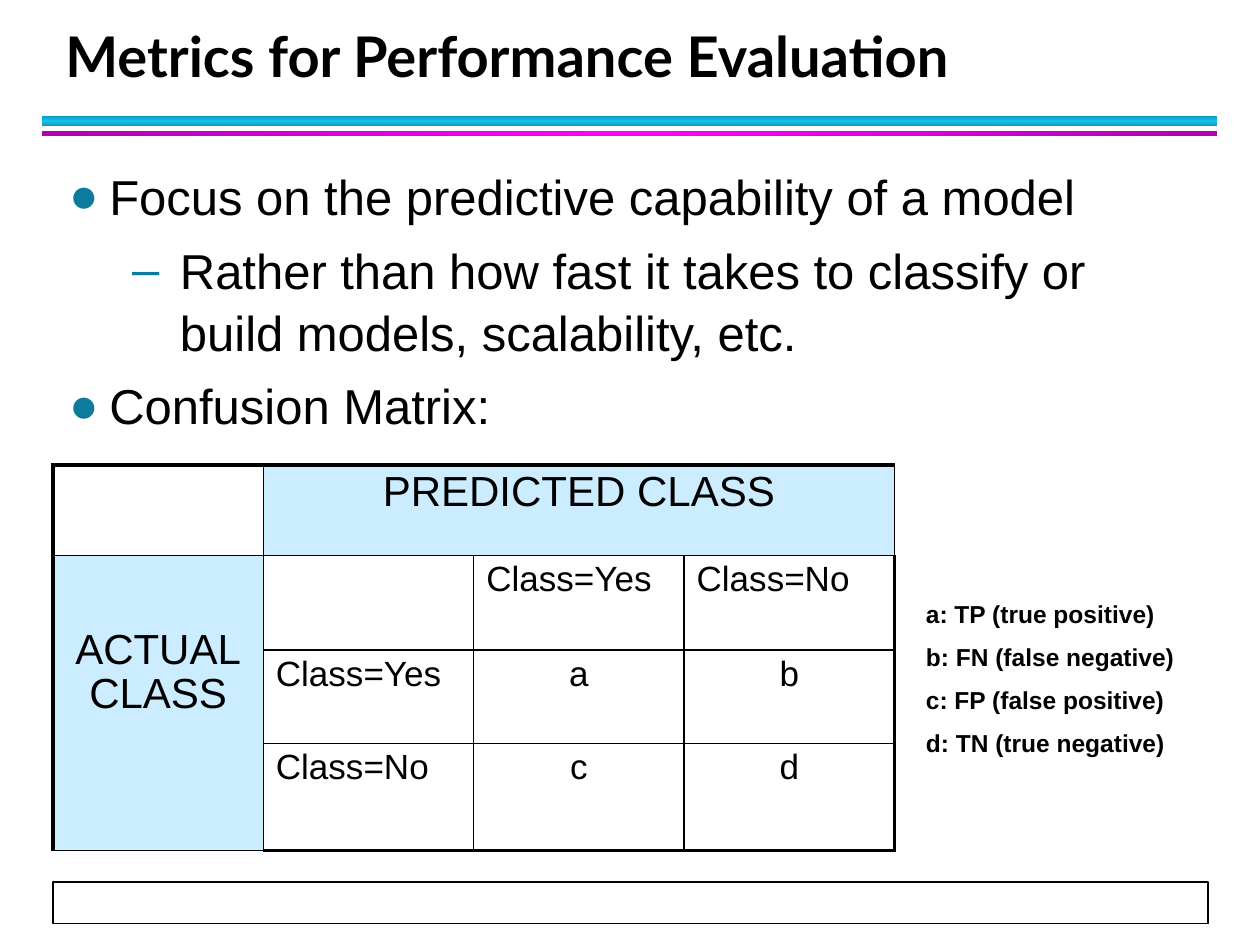
from copy import deepcopy

from lxml import etree
from pptx import Presentation
from pptx.dml.color import RGBColor
from pptx.enum.shapes import MSO_SHAPE
from pptx.enum.text import MSO_ANCHOR, PP_ALIGN
from pptx.oxml.ns import qn
from pptx.util import Inches, Pt

RECT = MSO_SHAPE.RECTANGLE
BOTTOM = MSO_ANCHOR.BOTTOM
LEFT, CENTER = PP_ALIGN.LEFT, PP_ALIGN.CENTER

COLORS = {
    "text": "000000", "paper": "FFFFFF", "header": "CCECFF", "bullet": "0C7B9C",
    "cyan_edge": "0E9BBA", "cyan": "12C2E9",
    "magenta_edge": "B200B2", "magenta": "FF00FF",
}

TITLE = "Metrics for Performance Evaluation"
BULLETS = [  # level, text
    (0, "Focus on the predictive capability of a model"),
    (1, "Rather than how fast it takes to classify or build models, scalability, etc."),
    (0, "Confusion Matrix:"),
]
LEVELS = [("●", 0.32, 0.32), ("–", 0.88, 0.38)]  # mark, left margin, hanging
LEGEND = [
    "a: TP (true positive)",
    "b: FN (false negative)",
    "c: FP (false positive)",
    "d: TN (true negative)",
]
MATRIX = [
    ["", "PREDICTED CLASS", "", ""],
    ["ACTUAL\vCLASS", "", "Class=Yes", "Class=No"],
    ["", "Class=Yes", "a", "b"],
    ["", "Class=No", "c", "d"],
]
MERGES = [((0, 1), (0, 3)), ((1, 0), (3, 0))]
HEADERS = [start for start, _ in MERGES]
COL_WIDTH = 1.67
ROW_HEIGHTS = [0.72, 0.75, 0.74, 0.85]
BARS = [  # top, height, edge colour, middle colour, angle
    (0.92, 0.08, "cyan_edge", "cyan", 90),
    (1.04, 0.04, "magenta_edge", "magenta", 0),
]


def rgb(name):
    return RGBColor.from_string(COLORS[name])


def style(p, size, font="Arial", bold=False, spacing=1.05, before=0, align=LEFT):
    p.alignment = align
    p.line_spacing = spacing
    p.space_before = Pt(before)
    for r in p.runs:
        r.font.name = font
        r.font.size = Pt(size)
        r.font.bold = bold
        r.font.color.rgb = rgb("text")


def add_text(slide, box, lines):
    tf = slide.shapes.add_textbox(*map(Inches, box)).text_frame
    tf.word_wrap = True
    for i, line in enumerate(lines):
        p = tf.paragraphs[0] if i == 0 else tf.add_paragraph()
        p.text = line
    return tf


def add_rect(slide, box):
    sp = slide.shapes.add_shape(RECT, *map(Inches, box))
    sp.shadow.inherit = False
    return sp


def add_bar(slide, top, height, edge, middle, angle):
    sp = add_rect(slide, (0.33, top, 9.33, height))
    sp.line.fill.background()
    sp.fill.gradient()
    sp.fill.gradient_angle = angle
    first = sp._element.spPr.find(".//" + qn("a:gs"))
    first.addnext(deepcopy(first))
    for stop, position, name in zip(sp.fill.gradient_stops, (0, 0.5, 1), (edge, middle, edge)):
        stop.position = position
        stop.color.rgb = rgb(name)


def set_bullet(p, level):
    mark, margin, hanging = LEVELS[level]
    p.level = level
    pPr = p._p.get_or_add_pPr()
    pPr.set("marL", str(Inches(margin)))
    pPr.set("indent", str(-Inches(hanging)))
    color = etree.SubElement(pPr, qn("a:buClr"))
    etree.SubElement(color, qn("a:srgbClr"), val=COLORS["bullet"])
    etree.SubElement(pPr, qn("a:buFont"), typeface="Arial")
    etree.SubElement(pPr, qn("a:buChar"), char=mark)


def set_borders(cell, row, col):
    """Thick lines on the outer edge of the matrix, thin ones inside."""
    outer = {"lnL": col == 0, "lnR": col == 3, "lnT": row == 0, "lnB": row == 3}
    tcPr = cell._tc.get_or_add_tcPr()
    for tag, thick in outer.items():
        ln = etree.SubElement(tcPr, qn("a:" + tag), w=str(Pt(2.25 if thick else 1)))
        fill = etree.SubElement(ln, qn("a:solidFill"))
        etree.SubElement(fill, qn("a:srgbClr"), val=COLORS["text"])


def add_matrix(slide):
    table = slide.shapes.add_table(
        4, 4, Inches(0.42), Inches(3.69), Inches(4 * COL_WIDTH), Inches(sum(ROW_HEIGHTS))
    ).table
    for column in table.columns:
        column.width = Inches(COL_WIDTH)
    for row, height in zip(table.rows, ROW_HEIGHTS):
        row.height = Inches(height)
    for start, end in MERGES:
        table.cell(*start).merge(table.cell(*end))
    for r, texts in enumerate(MATRIX):
        for c, text in enumerate(texts):
            cell = table.cell(r, c)
            header = (r, c) in HEADERS
            set_borders(cell, r, c)
            cell.fill.solid()
            cell.fill.fore_color.rgb = rgb("header" if header else "paper")
            p = cell.text_frame.paragraphs[0]
            p.text = text
            centered = header or len(text) == 1
            style(p, 24 if header else 20, spacing=0.95, align=CENTER if centered else LEFT)
    table.cell(1, 0).margin_top = Inches(0.58)


def main():
    prs = Presentation()
    prs.slide_width, prs.slide_height = Inches(10), Inches(7.5)
    slide = prs.slides.add_slide(prs.slide_layouts[6])

    for bar in BARS:
        add_bar(slide, *bar)

    footer = add_rect(slide, (0.42, 7, 9.17, 0.33))
    footer.fill.solid()
    footer.fill.fore_color.rgb = rgb("paper")
    footer.line.color.rgb = rgb("text")
    footer.line.width = Pt(1)

    tf = add_text(slide, (0.42, 0.17, 9.06, 0.58), [TITLE])
    tf.vertical_anchor = BOTTOM
    style(tf.paragraphs[0], 32, font="Lato", bold=True, spacing=1.12)

    tf = add_text(slide, (0.45, 1.25, 9.1, 5.67), [text for _, text in BULLETS])
    for i, (p, (level, _)) in enumerate(zip(tf.paragraphs, BULLETS)):
        style(p, 28, before=6.8 if i else 0)
        set_bullet(p, level)

    add_matrix(slide)

    tf = add_text(slide, (7.25, 4.69, 2.42, 1.38), LEGEND)
    for i, p in enumerate(tf.paragraphs):
        style(p, 14, bold=True, before=7 if i else 0)

    prs.save("out.pptx")


if __name__ == "__main__":
    main()
